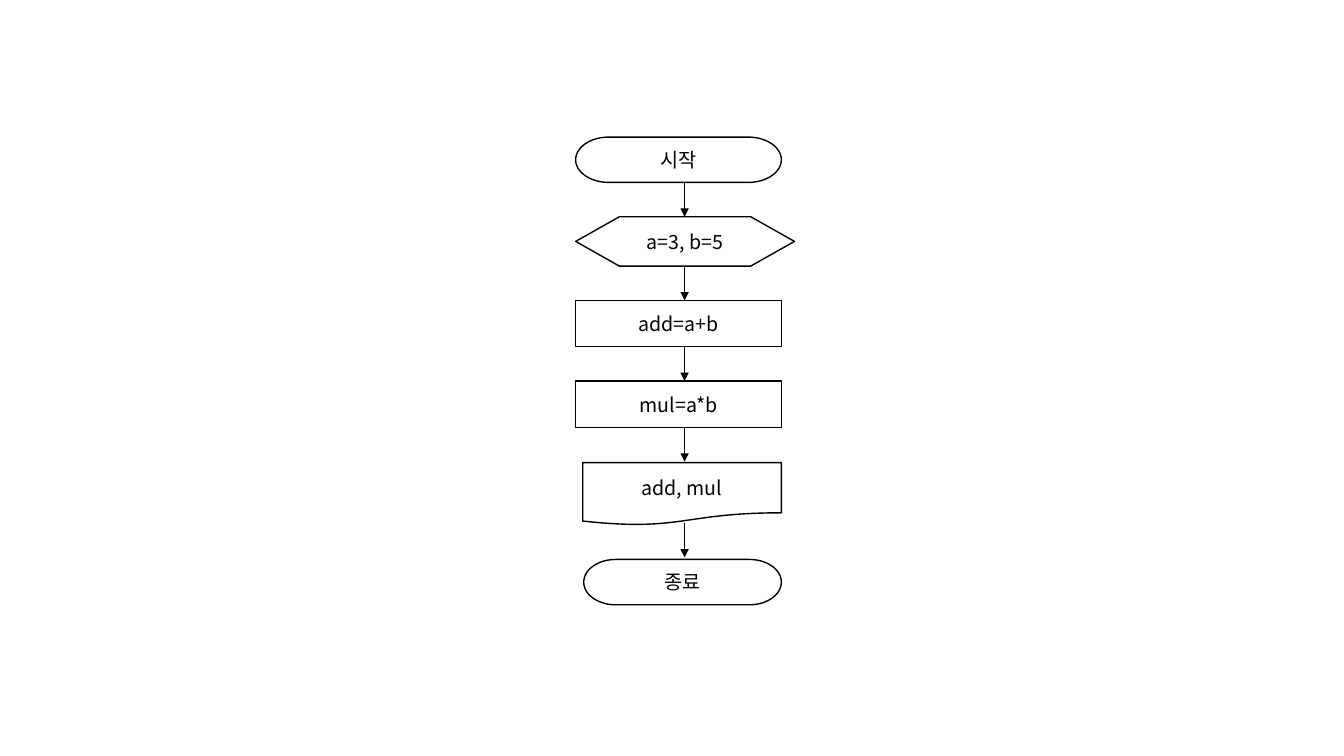
import dataclasses

import pptx
import pptx.dml.color
import pptx.enum.shapes
import pptx.enum.text
import pptx.oxml
import pptx.oxml.ns
import pptx.util

Inches = pptx.util.Inches
Shape = pptx.enum.shapes.MSO_SHAPE


@dataclasses.dataclass(frozen=True)
class Theme:
    ink: pptx.dml.color.RGBColor = pptx.dml.color.RGBColor(0, 0, 0)
    font: str = "Noto Sans CJK KR"
    text_size: pptx.util.Pt = pptx.util.Pt(14)
    outline: pptx.util.Pt = pptx.util.Pt(1)
    arrow: pptx.util.Pt = pptx.util.Pt(0.5)


THEME = Theme()
ARROW_X = 6.79
ARROW_LENGTH = 0.34
ARROW_STARTS = (1.81, 2.64, 3.44, 4.24, 5.19)
STEPS = (
    (Shape.FLOWCHART_TERMINATOR, "시작", 5.71, 1.36, 2.04, 0.45),
    (Shape.FLOWCHART_PREPARATION, "a=3, b=5", 5.71, 2.15, 2.17, 0.49),
    (Shape.FLOWCHART_PROCESS, "add=a+b", 5.71, 2.98, 2.04, 0.46),
    (Shape.FLOWCHART_PROCESS, "mul=a*b", 5.71, 3.78, 2.04, 0.46),
    (Shape.FLOWCHART_DOCUMENT, "add, mul", 5.78, 4.59, 1.97, 0.62),
    (Shape.FLOWCHART_TERMINATOR, "종료", 5.79, 5.55, 1.96, 0.45),
)


def add_child(parent, tag, **attributes):
    child = pptx.oxml.parse_xml(f"<{tag} {pptx.oxml.ns.nsdecls('a')}/>")
    for name, value in attributes.items():
        child.set(name, value)
    parent.append(child)


def add_step(page, kind, label, left, top, width, height):
    step = page.shapes.add_shape(
        kind, Inches(left), Inches(top), Inches(width), Inches(height)
    )
    step.shadow.inherit = False
    step.fill.background()
    step.line.color.rgb = THEME.ink
    step.line.width = THEME.outline
    frame = step.text_frame
    frame.word_wrap = True
    frame.vertical_anchor = pptx.enum.text.MSO_ANCHOR.MIDDLE
    para = frame.paragraphs[0]
    para.text = label
    para.alignment = pptx.enum.text.PP_ALIGN.CENTER
    para.font.name = THEME.font
    para.font.size = THEME.text_size
    para.font.color.rgb = THEME.ink
    properties = para._p.pPr.find(pptx.oxml.ns.qn("a:defRPr"))
    add_child(properties, "a:ea", typeface=THEME.font)


def add_arrow(page, start):
    arrow = page.shapes.add_connector(
        pptx.enum.shapes.MSO_CONNECTOR.STRAIGHT,
        Inches(ARROW_X),
        Inches(start),
        Inches(ARROW_X),
        Inches(start + ARROW_LENGTH),
    )
    arrow.line.color.rgb = THEME.ink
    arrow.line.width = THEME.arrow
    add_child(arrow.line._get_or_add_ln(), "a:tailEnd", type="triangle")
    add_child(arrow._element.spPr, "a:effectLst")


def main():
    deck = pptx.Presentation()
    deck.slide_width = Inches(13.33)
    deck.slide_height = Inches(7.5)
    page = deck.slides.add_slide(deck.slide_layouts[6])
    for step in STEPS:
        add_step(page, *step)
    for start in ARROW_STARTS:
        add_arrow(page, start)
    deck.save("out.pptx")


main()
